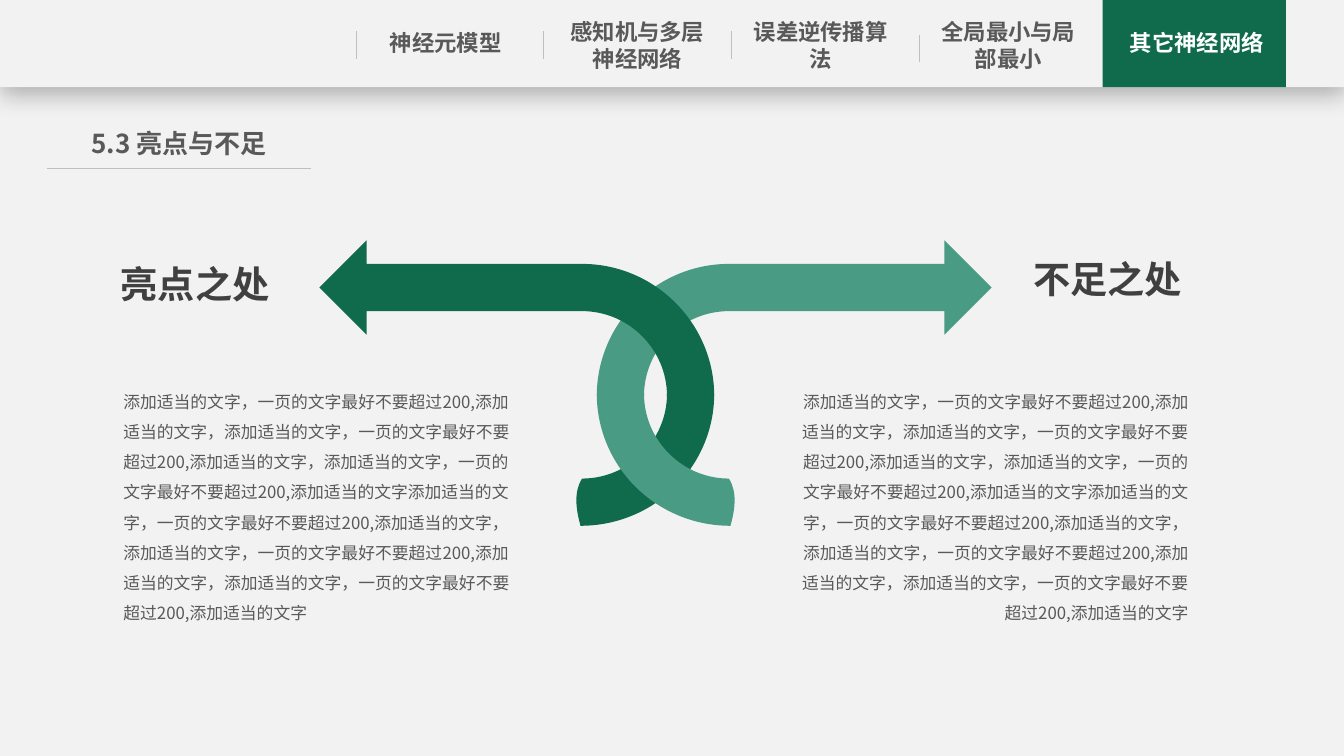
from dataclasses import dataclass

from lxml import etree
from pptx import Presentation
from pptx.dml.color import RGBColor
from pptx.enum.shapes import MSO_CONNECTOR, MSO_SHAPE
from pptx.enum.text import MSO_ANCHOR, MSO_AUTO_SIZE, PP_ALIGN as Align
from pptx.oxml.ns import qn
from pptx.util import Cm, Pt

FONT = "Noto Sans CJK SC"
PAPER = RGBColor(0xF2, 0xF2, 0xF2)
GREEN = RGBColor(0x10, 0x6B, 0x4C)
MINT = RGBColor(0x4A, 0x9B, 0x83)
RULE = RGBColor(0xBF, 0xBF, 0xBF)
GREY = RGBColor(0x59, 0x59, 0x59)
DARK = RGBColor(0x40, 0x40, 0x40)
WHITE = RGBColor(0xFF, 0xFF, 0xFF)

SLIDE_W, SLIDE_H = 33.87, 19.05
BAR_H = 2.2
NAV_W = 3.73
DIVIDER_X, DIVIDER_STEP, DIVIDER_H = 8.97, 4.73, 0.69

AXIS_X = 16.52
RING_X, UPPER_Y, LOWER_Y = 14.67, 9.98, 9.92
OUTER_R, INNER_R = 3.33, 2.14
TIP_X, HEAD = 8.05, 1.19
KAPPA = 0.55

ADD = "添加适当的文字"
LIMIT = "，一页的文字最好不要超过200,"
BODY = "，".join([ADD + LIMIT + ADD] * 3) * 2

Point = tuple[float, float]
Segment = tuple[Point, ...]


@dataclass
class Style:
    size: float
    color: RGBColor
    bold: bool = True
    align: Align = Align.CENTER
    spacing: float = 1.0
    inset_x: float = 0
    inset_y: float = 0.13
    wrap: bool = True


@dataclass
class Label:
    text: str
    left: float
    top: float
    width: float
    height: float
    style: Style


@dataclass
class Topic:
    text: str
    left: float
    top: float
    height: float
    color: RGBColor = GREY


def place(sp, label: Label) -> None:
    st = label.style
    sp.left, sp.top = Cm(label.left), Cm(label.top)
    sp.width, sp.height = Cm(label.width), Cm(label.height)
    tf = sp.text_frame
    tf.word_wrap = st.wrap
    tf.auto_size = MSO_AUTO_SIZE.SHAPE_TO_FIT_TEXT
    tf.vertical_anchor = MSO_ANCHOR.TOP
    tf.margin_left = tf.margin_right = Cm(st.inset_x)
    tf.margin_top = tf.margin_bottom = Cm(st.inset_y)
    p = tf.paragraphs[0]
    p.alignment, p.line_spacing = st.align, st.spacing
    r = p.add_run()
    r.text = label.text
    r.font.name, r.font.size, r.font.bold = FONT, Pt(st.size), st.bold
    r.font.color.rgb = st.color
    etree.SubElement(r.font._element, qn("a:ea"), typeface=FONT)


def add_label(s, label: Label) -> None:
    place(s.shapes.add_textbox(0, 0, 0, 0), label)


def paint(sp, color: RGBColor) -> None:
    sp.fill.solid()
    sp.fill.fore_color.rgb = color
    sp.line.fill.background()
    sp.shadow.inherit = False


def add_block(s, left: float, width: float, height: float, color: RGBColor):
    sp = s.shapes.add_shape(MSO_SHAPE.RECTANGLE, Cm(left), 0, Cm(width), Cm(height))
    paint(sp, color)
    return sp


def add_drop_shadow(sp) -> None:
    effects = sp._element.spPr.find(qn("a:effectLst"))
    shadow = etree.SubElement(effects, qn("a:outerShdw"), blurRad=str(Pt(18)),
                              dist=str(Pt(4)), dir="5400000", algn="t", rotWithShape="0")
    color = etree.SubElement(shadow, qn("a:srgbClr"), val="000000")
    etree.SubElement(color, qn("a:alpha"), val="29000")


def add_rule(s, start: Point, end: Point) -> None:
    c = s.shapes.add_connector(MSO_CONNECTOR.STRAIGHT, *map(Cm, start + end))
    c.line.color.rgb, c.line.width = RULE, Pt(0.5)
    etree.SubElement(c._element.spPr, qn("a:effectLst"))


def quarter(cy: float, radius: float, side: int) -> Segment:
    k = KAPPA * radius
    return ((RING_X + k, cy + side * radius), (RING_X + radius, cy + side * k),
            (RING_X + radius, cy))


def back(curve: Segment, end: Point) -> Segment:
    return curve[1], curve[0], end


def upper_outline() -> list[Segment]:
    y = UPPER_Y - (OUTER_R + INNER_R) / 2
    half = (OUTER_R - INNER_R) / 2
    neck = TIP_X + HEAD
    inner_top = (RING_X, UPPER_Y - INNER_R)
    return [((neck, y - HEAD),), ((TIP_X, y),), ((neck, y + HEAD),), ((neck, y + half),),
            (inner_top,), quarter(UPPER_Y, INNER_R, -1), ((RING_X + OUTER_R, UPPER_Y),),
            back(quarter(UPPER_Y, OUTER_R, -1), (RING_X, UPPER_Y - OUTER_R)),
            ((neck, y - half),)]


def lower_outline() -> list[Segment]:
    outer_end = (RING_X - 0.04, LOWER_Y + OUTER_R)
    inner_end = (RING_X, LOWER_Y + INNER_R)
    return [((RING_X + OUTER_R, LOWER_Y),), back(quarter(LOWER_Y, OUTER_R, 1), outer_end),
            ((14.52, 12.85), (14.45, 12.4), inner_end), quarter(LOWER_Y, INNER_R, 1)]


def add_ribbon(s, outline: list[Segment], color: RGBColor, mirrored: bool) -> None:
    points = [(Cm(2 * AXIS_X - x if mirrored else x), Cm(y))
              for segment in outline for x, y in segment]
    builder = s.shapes.build_freeform(*points[0])
    builder.add_line_segments(points[1:], close=True)
    sp = builder.convert_to_shape()
    paint(sp, color)
    lines = iter(list(sp._element.iter(qn("a:lnTo"))))
    for segment in outline[1:]:
        steps = [next(lines) for _ in segment]
        if len(steps) == 3:
            curve = etree.Element(qn("a:cubicBezTo"))
            steps[0].addprevious(curve)
            for step in steps:
                curve.append(step[0])
                step.getparent().remove(step)


prs = Presentation()
prs.slide_width, prs.slide_height = Cm(SLIDE_W), Cm(SLIDE_H)
s = prs.slides.add_slide(prs.slide_layouts[5])

backdrop = add_block(s, 0, SLIDE_W, SLIDE_H, PAPER)
s.shapes.title._element.addprevious(backdrop._element)
place(s.shapes.title, Label("5.3 亮点与不足", 1.88, 3.07, 5.26, 1.07, Style(18.6, GREY)))
add_rule(s, (1.19, 4.24), (7.85, 4.24))

add_drop_shadow(add_block(s, 0, SLIDE_W, BAR_H, PAPER))
add_block(s, 27.79, 4.62, BAR_H, GREEN)

for i, y in enumerate([0.79, 0.79, 0.79, 0.87]):
    x = DIVIDER_X + i * DIVIDER_STEP
    add_rule(s, (x, y), (x, y + DIVIDER_H))

add_ribbon(s, upper_outline(), MINT, True)
add_ribbon(s, upper_outline(), GREEN, False)
add_ribbon(s, lower_outline(), GREEN, False)
add_ribbon(s, lower_outline(), MINT, True)

for left, width, align in [(19.68, 10.59, Align.RIGHT), (2.79, 10.49, Align.LEFT)]:
    add_label(s, Label(BODY, left, 9.45, width, 6.48,
                       Style(12, GREY, False, align, 1.5, 0.32, 0.16)))

heading = Style(26.6, DARK, align=Align.LEFT, inset_x=0.25, wrap=False)
add_label(s, Label("亮点之处", 2.79, 6.45, 4.32, 1.4, heading))
add_label(s, Label("不足之处", 25.79, 6.33, 4.32, 1.4, heading))

topics = [
    Topic("神经元模型", 9.37, 0.6, 0.97),
    Topic("感知机与多层神经网络", 14.2, 0.32, 1.63),
    Topic("误差逆传播算法", 18.82, 0.32, 1.63),
    Topic("全局最小与局部最小", 23.55, 0.32, 1.63),
    Topic("其它神经网络", 28.3, 0.6, 0.97, WHITE),
]
for t in topics:
    add_label(s, Label(t.text, t.left, t.top, NAV_W, t.height, Style(16, t.color)))

prs.save("out.pptx")
